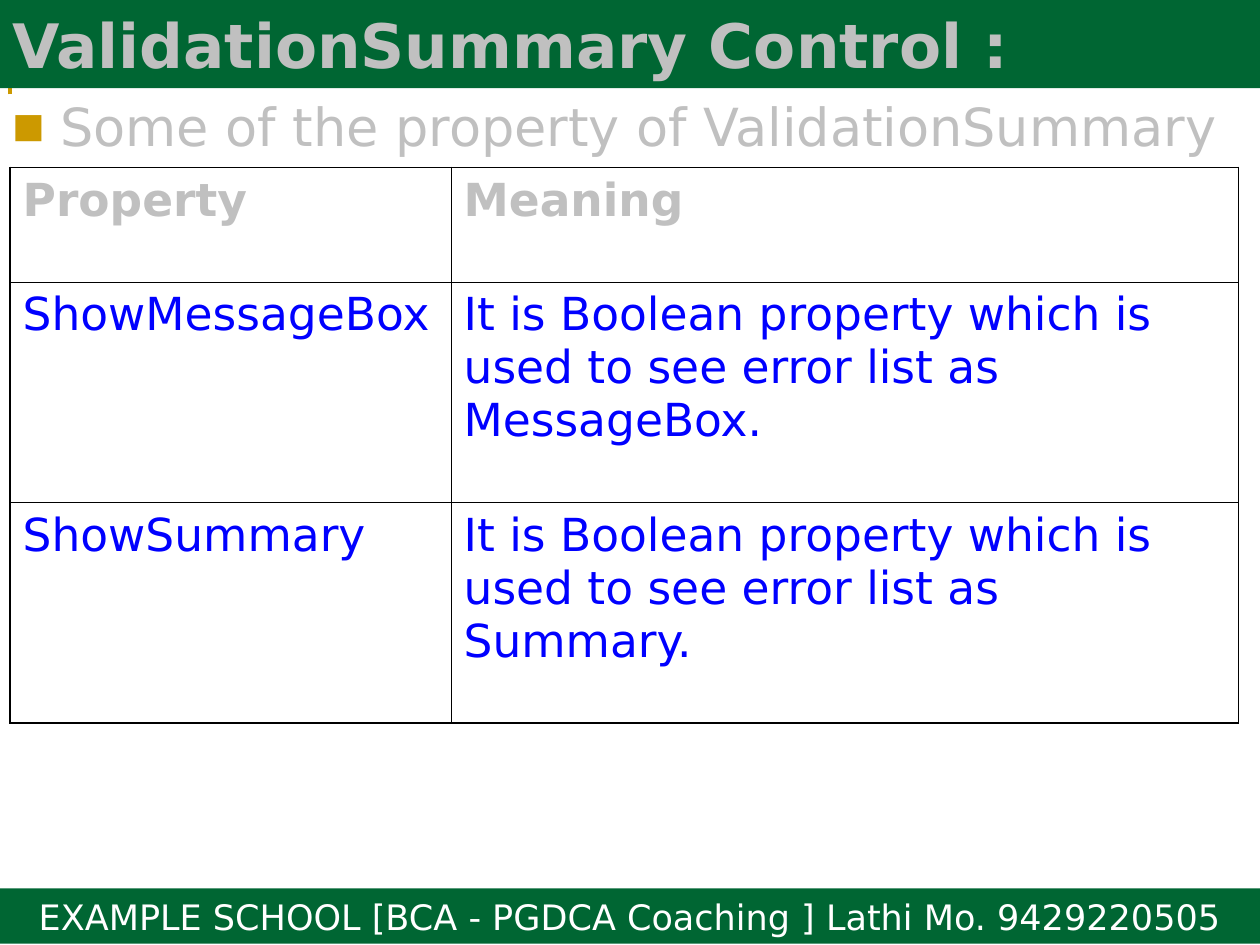
from lxml.etree import SubElement as Sub
from pptx import Presentation
from pptx.dml.color import RGBColor
from pptx.enum.shapes import MSO_SHAPE as Shape
from pptx.enum.text import MSO_ANCHOR as Anchor, PP_ALIGN as Align
from pptx.oxml.ns import qn
from pptx.util import Inches, Pt

FONT = "DejaVu Sans"
GREEN, GOLD, GRAY = "006633", "CC9900", "C0C0C0"
BLUE, WHITE, BLACK = "0000FF", "FFFFFF", "000000"
THICK, THIN = 1.08, 0.45

ROWS = [
    ("Property", "Meaning"),
    ("ShowMessageBox",
     "It is Boolean property which is used to see error list as MessageBox."),
    ("ShowSummary",
     "It is Boolean property which is used to see error list as Summary."),
]
WIDTHS = [3.5, 6.25]
HEIGHTS = [0.91, 1.75, 1.75]


def color(code):
    return RGBColor.from_string(code)


def style(para, size, code, bold=False):
    for run in para.runs:
        font = run.font
        font.name, font.size, font.bold = FONT, Pt(size), bold
        font.color.rgb = color(code)


def add_bar(slide, top, height, text, size, code, bold=False, align=Align.LEFT):
    bar = slide.shapes.add_shape(
        Shape.RECTANGLE, 0, Inches(top), Inches(10), Inches(height))
    bar.shadow.inherit = False
    bar.fill.solid()
    bar.fill.fore_color.rgb = color(GREEN)
    bar.line.fill.background()
    frame = bar.text_frame
    frame.word_wrap = True
    frame.vertical_anchor = Anchor.MIDDLE
    frame.text = text
    para = frame.paragraphs[0]
    para.alignment = align
    style(para, size, code, bold)


def add_corner(slide):
    left, top, right, low = (Inches(n) for n in (0.08, 0.08, 9.83, 0.75))
    pen = slide.shapes.build_freeform(left, low)
    pen.add_line_segments([(left, top), (right, top)], close=False)
    corner = pen.convert_to_shape()
    corner.shadow.inherit = False
    corner.fill.background()
    corner.line.color.rgb = color(GOLD)
    corner.line.width = Pt(2.25)


def add_bullet(slide, text):
    box = slide.shapes.add_textbox(0, Inches(0.75), Inches(10), Inches(0.58))
    frame = box.text_frame
    frame.word_wrap = True
    frame.text = text
    para = frame.paragraphs[0]
    para.line_spacing = 0.9
    props = para._p.get_or_add_pPr()
    props.set("marL", str(Inches(0.38)))
    props.set("indent", str(-Inches(0.38)))
    tint = Sub(props, qn("a:buClr"))
    Sub(tint, qn("a:srgbClr"), val=GOLD)
    Sub(props, qn("a:buSzPct"), val="65000")
    Sub(props, qn("a:buFont"), typeface=FONT)
    Sub(props, qn("a:buChar"), char="■")
    style(para, 30, GRAY)


def set_edge(cell, side, width):
    line = Sub(cell._tc.get_or_add_tcPr(), qn(f"a:ln{side}"), w=str(Pt(width)))
    fill = Sub(line, qn("a:solidFill"))
    Sub(fill, qn("a:srgbClr"), val=BLACK)


def add_grid(slide):
    grid = slide.shapes.add_table(
        len(ROWS), len(WIDTHS), Inches(0.08), Inches(1.33),
        Inches(sum(WIDTHS)), Inches(sum(HEIGHTS))).table
    grid.first_row = grid.horz_banding = False
    for col, width in zip(grid.columns, WIDTHS):
        col.width = Inches(width)
    for row, height in zip(grid.rows, HEIGHTS):
        row.height = Inches(height)

    for r, texts in enumerate(ROWS):
        for c, text in enumerate(texts):
            cell = grid.cell(r, c)
            cell.text = text
            head = r == 0
            style(cell.text_frame.paragraphs[0], 26, GRAY if head else BLUE, head)
            # Outer edges are thicker than inner ones
            outer = {"L": c == 0, "R": c == len(WIDTHS) - 1,
                     "T": head, "B": r == len(ROWS) - 1}
            for side, thick in outer.items():
                set_edge(cell, side, THICK if thick else THIN)
            cell.fill.background()


def main():
    deck = Presentation()
    deck.slide_width, deck.slide_height = Inches(10), Inches(7.5)
    slide = deck.slides.add_slide(deck.slide_layouts[6])

    # Footer and corner line
    add_bar(slide, 7.05, 0.44,
            "EXAMPLE SCHOOL [BCA - PGDCA Coaching ] Lathi Mo. 9429220505",
            20, WHITE, align=Align.CENTER)
    add_corner(slide)

    # Title, lead line and property table
    add_bar(slide, 0, 0.7, "ValidationSummary Control :", 35, GRAY, bold=True)
    add_bullet(slide, "Some of the property of ValidationSummary")
    add_grid(slide)

    deck.save("out.pptx")


if __name__ == "__main__":
    main()
